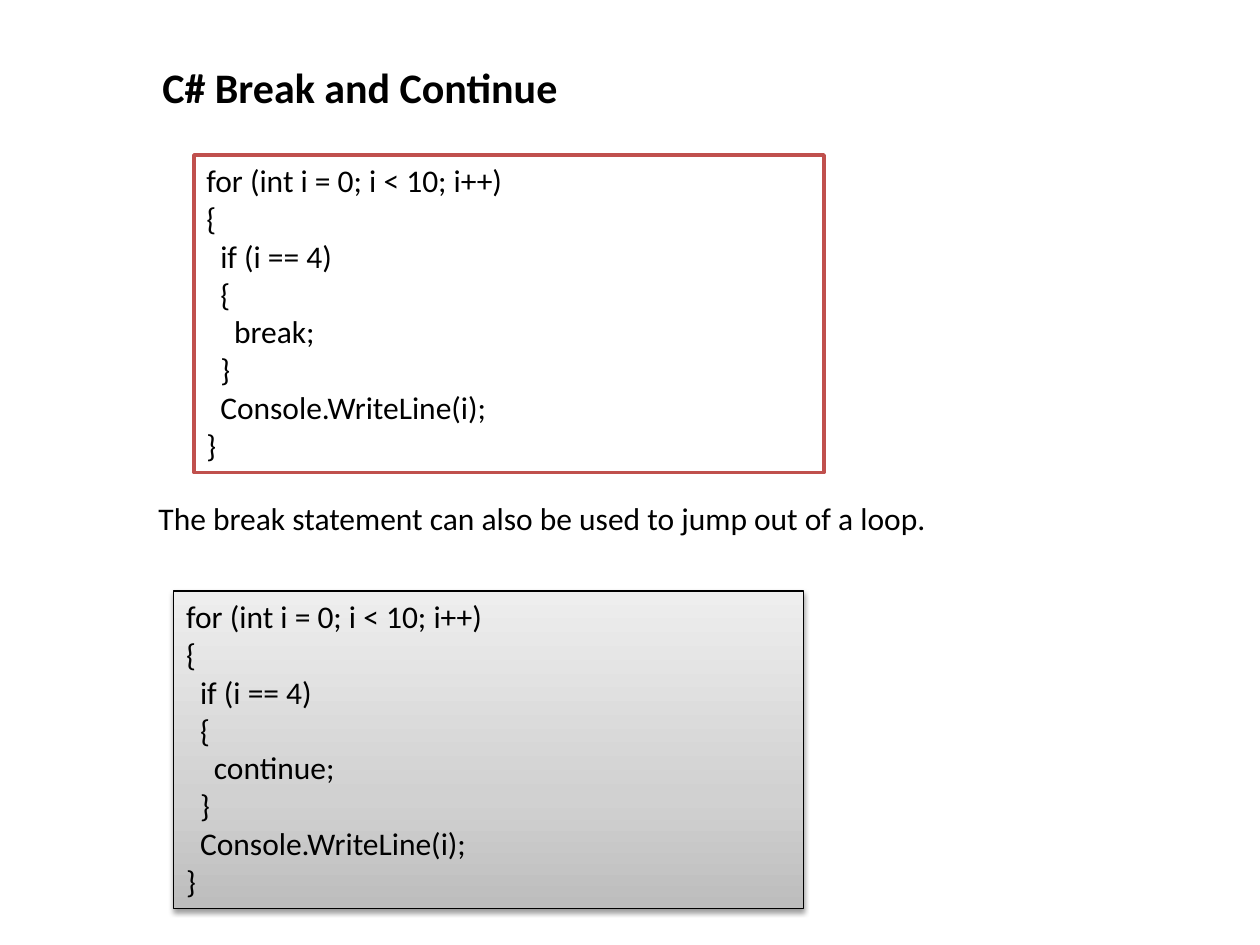
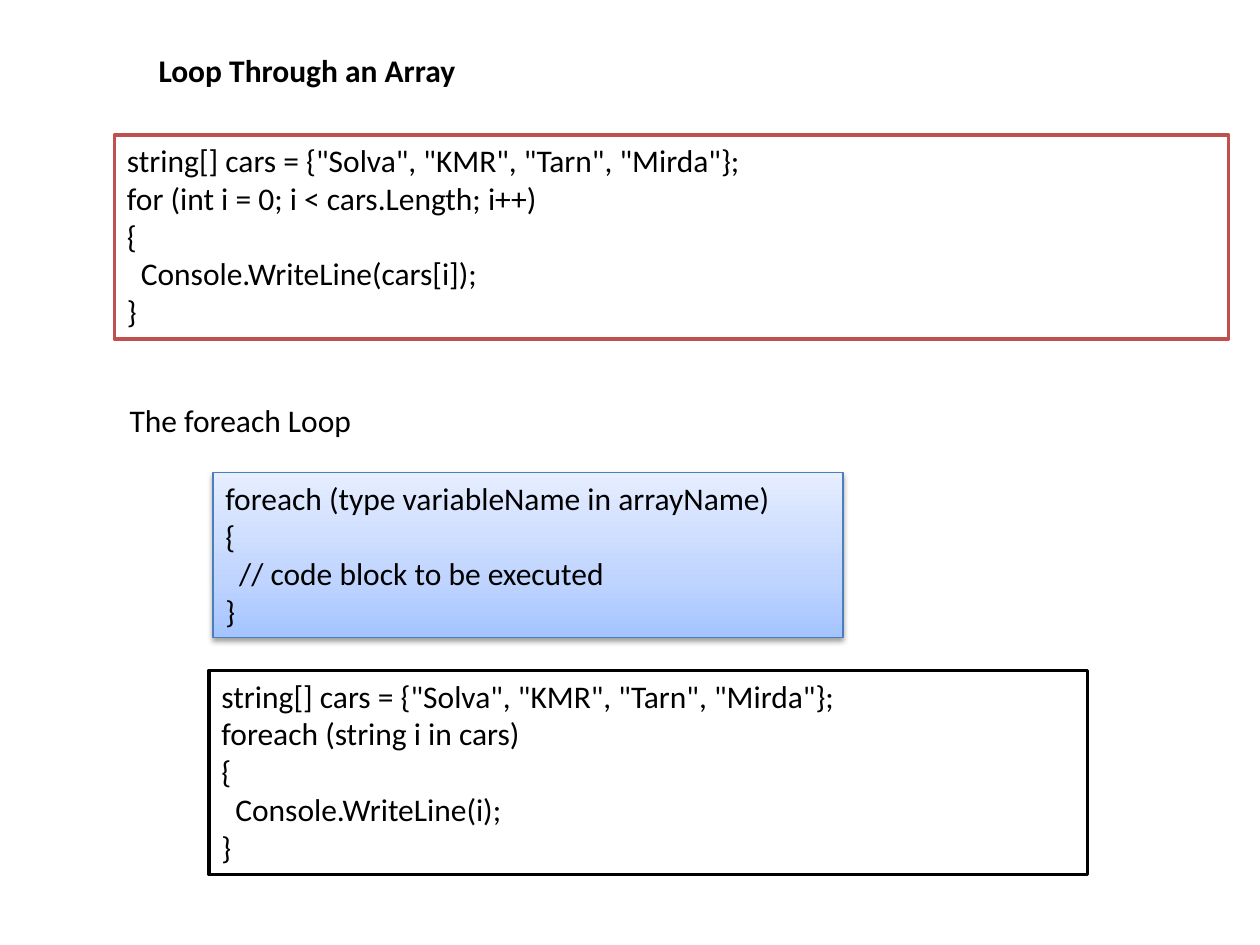
from copy import deepcopy

from lxml.etree import SubElement
from pptx import Presentation
from pptx.dml.color import RGBColor
from pptx.enum.shapes import MSO_SHAPE as Shape
from pptx.enum.text import MSO_ANCHOR as Anchor, MSO_AUTO_SIZE as AutoSize, PP_ALIGN as Align
from pptx.oxml.ns import qn
from pptx.util import Inches, Pt

COLORS = {
    "text": "000000", "paper": "FFFFFF", "red": "C0504D", "black": "000000", "blue": "4B7EBC",
    "gray_dark": "BDBDBD", "gray_mid": "D1D1D1", "gray_light": "EEEEEE",
    "blue_dark": "A4C4FF", "blue_mid": "BFD4FF", "blue_light": "E6EEFF",
}
STOPS = (0, 0.35, 1)
INDENT = Inches(0.11)
CARS = 'string[] cars = {"Solva", "KMR", "Tarn", "Mirda"};'


def color(name):
    return RGBColor.from_string(COLORS[name])


def write_text(para, text, size=18, bold=False, level=0):
    para.alignment = Align.LEFT
    if level:
        para._p.get_or_add_pPr().set("marL", str(level * INDENT))
    span = para.add_run()
    span.text = text
    span.font.name = "Calibri"
    span.font.size = Pt(size)
    span.font.bold = bold
    span.font.color.rgb = color("text")


def loop_code(statement):
    return [
        (0, "for (int i = 0; i < 10; i++)"), (0, "{"), (1, "if (i == 4)"), (1, "{"),
        (2, statement), (1, "}"), (1, "Console.WriteLine(i);"), (0, "}"),
    ]


def array_code(header, statement):
    return [(0, CARS), (0, header), (0, "{"), (1, statement), (0, "}")]


class CodeDeck:
    """Holds the deck style and the current slide."""

    def __init__(self):
        self.deck = Presentation()
        self.deck.slide_width, self.deck.slide_height = Inches(10), Inches(7.5)
        self.page = None

    def add_page(self):
        self.page = self.deck.slides.add_slide(self.deck.slide_layouts[6])

    def add_label(self, text, left, top, width, height=0.4, wrap=False, **style):
        box = self.page.shapes.add_textbox(*map(Inches, (left, top, width, height)))
        frame = box.text_frame
        frame.word_wrap = wrap
        frame.auto_size = AutoSize.SHAPE_TO_FIT_TEXT
        write_text(frame.paragraphs[0], text, **style)

    def add_code(self, lines, left, top, width, height, border, weight=2):
        box = self.page.shapes.add_shape(
            Shape.RECTANGLE, *map(Inches, (left, top, width, height)))
        box.shadow.inherit = False
        box.fill.solid()
        box.fill.fore_color.rgb = color("paper")
        box.line.color.rgb = color(border)
        box.line.width = Pt(weight)
        frame = box.text_frame
        frame.word_wrap = True
        frame.auto_size = AutoSize.SHAPE_TO_FIT_TEXT
        frame.vertical_anchor = Anchor.TOP
        for index, (level, text) in enumerate(lines):
            para = frame.add_paragraph() if index else frame.paragraphs[0]
            write_text(para, text, level=level)
        return box

    def add_shaded_code(self, lines, left, top, width, height, border, tint):
        box = self.add_code(lines, left, top, width, height, border, weight=0.75)
        box.fill.gradient()
        box.fill.gradient_angle = 90
        stop_list = box._element.spPr.find(".//" + qn("a:gsLst"))
        stop_list.append(deepcopy(stop_list[-1]))
        for stop, position, shade in zip(box.fill.gradient_stops, STOPS, ("dark", "mid", "light")):
            stop.position = position
            stop.color.rgb = color(f"{tint}_{shade}")
        effects = box._element.spPr.find(qn("a:effectLst"))
        shadow = SubElement(effects, qn("a:outerShdw"), blurRad=str(Pt(3.1)),
                            dist=str(Pt(1.6)), dir="5400000", rotWithShape="0")
        tone = SubElement(shadow, qn("a:srgbClr"), val=COLORS["black"])
        SubElement(tone, qn("a:alpha"), val="38000")


def build_break_page(deck):
    deck.add_page()
    deck.add_label("C# Break and Continue", 1.19, 0.44, 3.37, 0.5, size=24, bold=True)
    deck.add_code(loop_code("break;"), 1.54, 1.23, 5, 2.52, "red")
    deck.add_label("The break statement can also be used to jump out of a loop.",
                   1.16, 3.91, 8.56, wrap=True)
    deck.add_shaded_code(loop_code("continue;"), 1.38, 4.69, 5, 2.52, "black", "gray")


def build_array_page(deck):
    deck.add_page()
    deck.add_label("Loop Through an Array", 1.16, 0.36, 2.58, bold=True)
    deck.add_code(array_code("for (int i = 0; i < cars.Length; i++)", "Console.WriteLine(cars[i]);"),
                  0.91, 1.07, 8.84, 1.62, "red")
    deck.add_label("The foreach Loop", 0.93, 3.13, 1.98)
    syntax = [(0, "foreach (type variableName in arrayName)"), (0, "{"),
              (1, "// code block to be executed"), (0, "}")]
    deck.add_shaded_code(syntax, 1.69, 3.75, 5, 1.31, "blue", "blue")
    deck.add_code(array_code("foreach (string i in cars)", "Console.WriteLine(i);"),
                  1.66, 5.32, 6.97, 1.62, "black")


def main():
    builder = CodeDeck()
    build_break_page(builder)
    build_array_page(builder)
    builder.deck.save("out.pptx")


if __name__ == "__main__":
    main()
